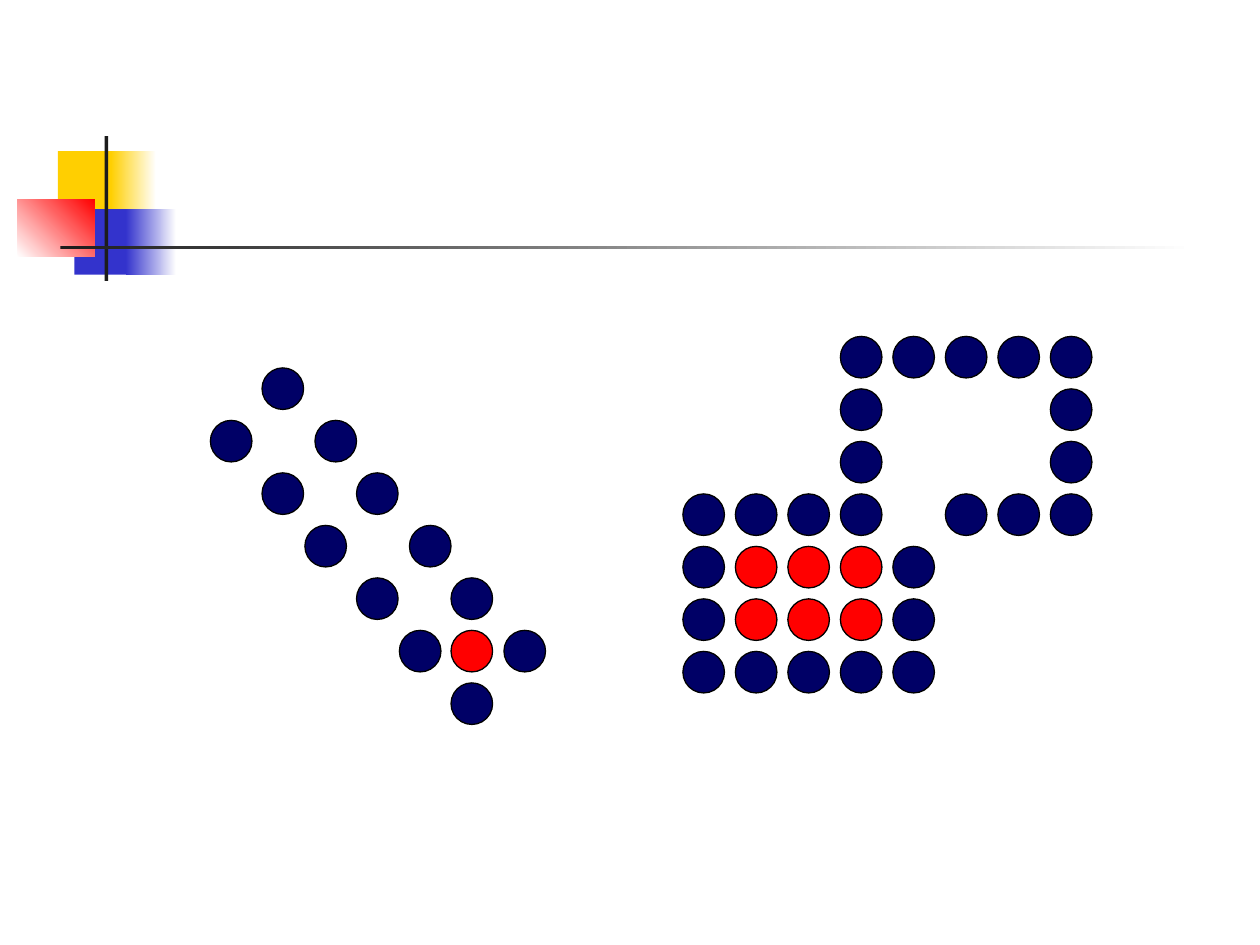
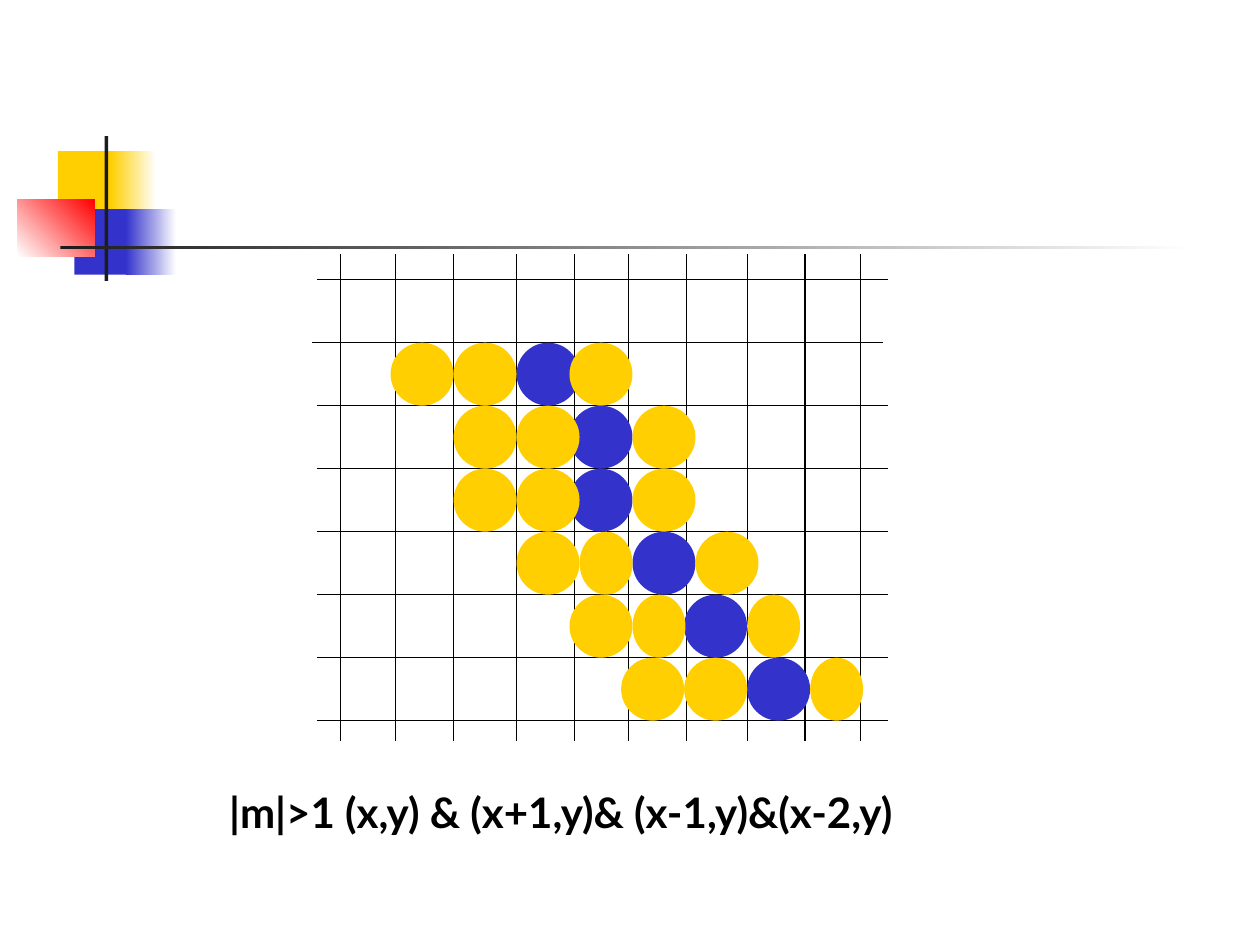
"""Build two slides of dot diagrams: thick line pixels and a pixel grid."""
from lxml import etree
from pptx import Presentation
from pptx.dml.color import RGBColor
from pptx.enum.shapes import MSO_CONNECTOR, MSO_SHAPE
from pptx.enum.text import MSO_AUTO_SIZE
from pptx.oxml.ns import qn
from pptx.util import Inches, Pt

RECTANGLE = MSO_SHAPE.RECTANGLE
OVAL = MSO_SHAPE.OVAL
STRAIGHT = MSO_CONNECTOR.STRAIGHT
FIT_SHAPE = MSO_AUTO_SIZE.SHAPE_TO_FIT_TEXT

COLORS = {
    "yellow": "FFCF01",
    "blue": "3333CC",
    "red": "FF0000",
    "navy": "000066",
    "dark": "1C1C1C",
    "black": "000000",
    "white": "FFFFFF",
}
FONT = "Lato"


def add_shape(shapes, kind, box, colors, angle=0, outline=None):
    shape = shapes.add_shape(kind, *[Inches(value) for value in box])
    shape.shadow.inherit = False
    if len(colors) == 1:
        shape.fill.solid()
        shape.fill.fore_color.rgb = RGBColor.from_string(COLORS[colors[0]])
    else:
        shape.fill.gradient()
        shape.fill.gradient_angle = angle
        for stop, color in zip(shape.fill.gradient_stops, colors):
            stop.color.rgb = RGBColor.from_string(COLORS[color])
    if outline:
        shape.line.color.rgb = RGBColor.from_string(COLORS[outline])
        shape.line.width = Pt(0.75)
    else:
        shape.line.fill.background()


def add_text(slide, text, box, size=24, bold=False, color="black"):
    text_box = slide.shapes.add_textbox(*[Inches(value) for value in box])
    frame = text_box.text_frame
    frame.word_wrap = False
    frame.auto_size = FIT_SHAPE
    paragraph = frame.paragraphs[0]
    paragraph.text = text
    font = paragraph.runs[0].font
    font.name = FONT
    font.size = Pt(size)
    font.bold = bold
    font.color.rgb = RGBColor.from_string(COLORS[color])


presentation = Presentation()
presentation.slide_width = Inches(10)
presentation.slide_height = Inches(7.5)

ornament = [
    ((0.46, 1.2, 0.48, 0.52), ["yellow"], 0),
    ((0.88, 1.2, 0.36, 0.52), ["yellow", "white"], 0),
    ((0.59, 1.66, 0.46, 0.52), ["blue"], 0),
    ((1, 1.66, 0.4, 0.52), ["blue", "white"], 0),
    ((0.14, 1.58, 0.61, 0.46), ["white", "red"], 45),
    ((0.83, 1.08, 0.03, 1.15), ["dark"], 0),
    ((0.48, 1.95, 9, 0.03), ["dark", "white"], 0),
]
blank_layout = presentation.slide_layouts[6]
slides = []
for number in range(2):
    slide = presentation.slides.add_slide(blank_layout)
    for box, colors, angle in ornament:
        add_shape(slide.shapes, RECTANGLE, box, colors, angle)
    slides.append(slide)
dots_slide, grid_slide = slides

dot_size = 0.33
dot_pitch = 5 / 12
diagonal_top = 2.92
diagonal_rows = [
    [(2.08, "navy")],
    [(1.67, "navy"), (2.5, "navy")],
    [(2.08, "navy"), (2.83, "navy")],
    [(2.42, "navy"), (3.25, "navy")],
    [(2.83, "navy"), (3.58, "navy")],
    [(3.17, "navy"), (3.58, "red"), (4, "navy")],
    [(3.58, "navy")],
]
diagonal = dots_slide.shapes.add_group_shape()
for row, dots in enumerate(diagonal_rows):
    for left, color in dots:
        box = (left, diagonal_top + row * dot_pitch, dot_size, dot_size)
        add_shape(diagonal.shapes, OVAL, box, [color], outline="black")

region_left, region_top = 5.42, 2.67
region_rows = [
    "...NNNNN",
    "...N...N",
    "...N...N",
    "NNNN.NNN",
    "NRRRN",
    "NRRRN",
    "NNNNN",
]
region_colors = {"N": "navy", "R": "red"}
region = dots_slide.shapes.add_group_shape()
for row, pattern in enumerate(region_rows):
    for column, mark in enumerate(pattern):
        if mark in region_colors:
            box = (region_left + column * dot_pitch, region_top + row * dot_pitch,
                   dot_size, dot_size)
            add_shape(region.shapes, OVAL, box, [region_colors[mark]], outline="black")

grid = grid_slide.shapes.add_group_shape()
grid_top, cell = 2.22, 0.5
column_positions = [2.7, 3.14, 3.6, 4.1, 4.56, 4.99, 5.45, 5.93, 6.39, 6.83]
grid_lines = [(x, 2.02, x, 5.88) for x in column_positions]
for row in range(8):
    shift = 0.04 if row == 1 else 0
    y = grid_top + row * cell
    grid_lines.append((2.52 - shift, y, 7.05 - shift, y))
for ends in grid_lines:
    line = grid.shapes.add_connector(STRAIGHT, *[Inches(value) for value in ends])
    line.line.color.rgb = RGBColor.from_string(COLORS["black"])
    line.line.width = Pt(0.75)
    etree.SubElement(line._element.spPr, qn("a:effectLst"))

wide, narrow = 0.5, 0.42
line_pixels = [4.1, 4.52, 4.52, 5.02, 5.43, 5.93]
neighbour_rows = [
    [(3.1, wide), (3.6, wide), (4.52, wide)],
    [(3.6, wide), (4.1, wide), (5.02, wide)],
    [(3.6, wide), (4.1, wide), (5.02, wide)],
    [(4.1, wide), (4.6, narrow), (5.52, wide)],
    [(4.52, wide), (5.02, narrow), (5.93, narrow)],
    [(4.93, wide), (5.43, wide), (6.43, narrow)],
]
pixel_top = grid_top + cell
for row, left in enumerate(line_pixels):
    add_shape(grid.shapes, OVAL, (left, pixel_top + row * cell, wide, cell), ["blue"])
for row, neighbours in enumerate(neighbour_rows):
    for left, width in neighbours:
        box = (left, pixel_top + row * cell, width, cell)
        add_shape(grid.shapes, OVAL, box, ["yellow"])

add_text(grid_slide, "|m|>1 (x,y) & (x+1,y)& (x-1,y)&(x-2,y)",
         (1.72, 6.19, 6.16, 0.5), bold=True)

presentation.save("out.pptx")
